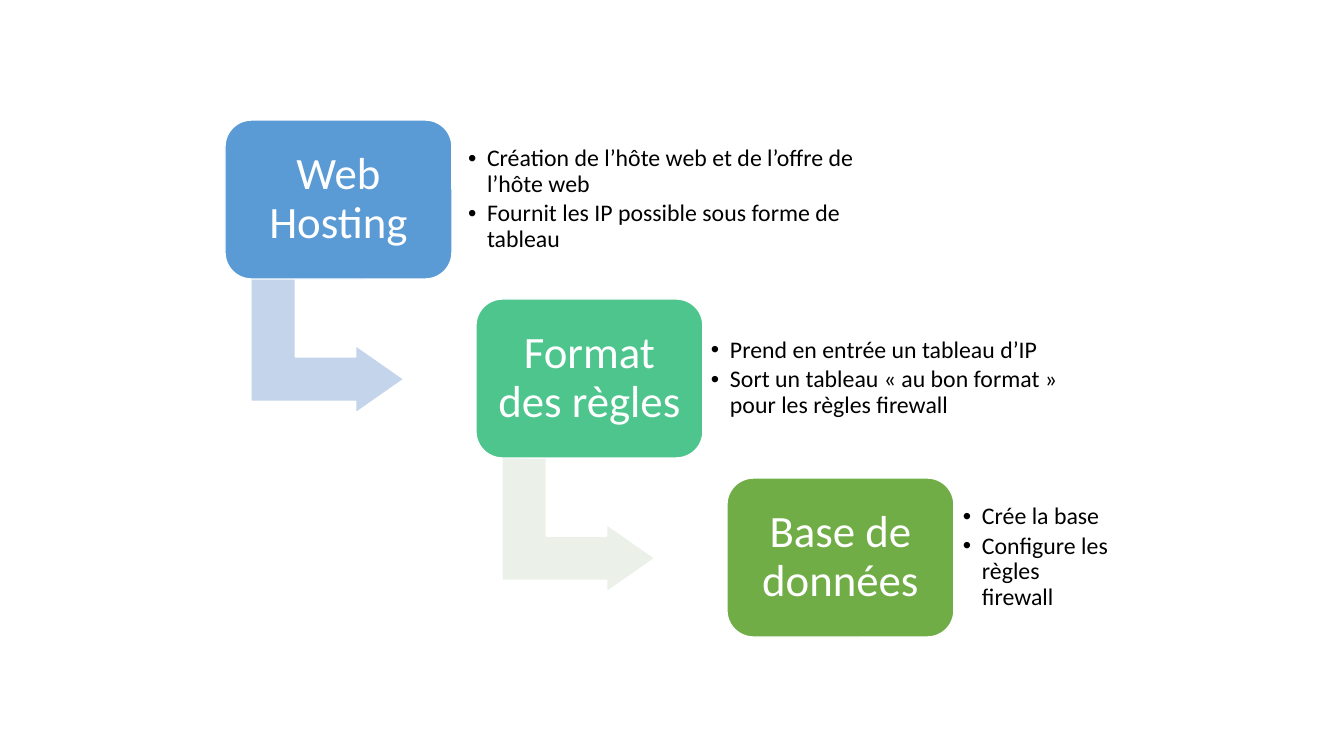
from pptx import Presentation
from pptx.dml.color import RGBColor
from pptx.enum.shapes import MSO_SHAPE
from pptx.enum.text import MSO_ANCHOR, PP_ALIGN
from pptx.oxml.ns import qn
from pptx.util import Pt
from lxml.etree import SubElement

# Content: title, box colour, arrow colour, note offset and width, notes
STEPS = [
    ("Web Hosting", "5B9BD5", "C4D5EB", 234, 426,
     ["Création de l’hôte web et de l’offre de l’hôte web",
      "Fournit les IP possible sous forme de tableau"]),
    ("Format des règles", "4DC58D", "EBF1E9", 226, 396,
     ["Prend en entrée un tableau d’IP",
      "Sort un tableau «\u00a0au bon format\u00a0» pour les règles firewall"]),
    ("Base de données", "70AD47", None, 227, 165,
     ["Crée la base", "Configure les règles firewall"]),
]
THEME = {
    "font": "Calibri", "line": "FFFFFF",
    "title": {"size": 32, "color": "FFFFFF", "after": 11},
    "note": {"size": 17, "color": "000000", "after": 2.5},
}

# Layout in pixels
PX = 914400 / 100.8
LEFT, TOP = 225, 120
STEP_X, STEP_Y = 251, 179
BOX = (227, 159)
ARROW = (35, 149, 135, 153)
BENDS = (0.328, 0.25, 0.358)
NOTE_Y, NOTE_H = 15, 129
INDENT = 19


def emu(*vals):
    return [round(v * PX) for v in vals]


def paint(shape, fill):
    shape.shadow.inherit = False
    shape.fill.solid()
    shape.fill.fore_color.rgb = RGBColor.from_string(fill)
    shape.line.color.rgb = RGBColor.from_string(THEME["line"])
    shape.line.width = Pt(1)


def write(shape, lines, style, inset, align):
    frame = shape.text_frame
    pad = emu(inset)[0]
    form = {"word_wrap": True, "vertical_anchor": MSO_ANCHOR.MIDDLE,
            "margin_left": pad, "margin_right": pad,
            "margin_top": pad, "margin_bottom": pad}
    for key, val in form.items():
        setattr(frame, key, val)
    frame.text = "\n".join(lines)
    form = {"alignment": align, "line_spacing": 0.9,
            "space_after": Pt(style["after"])}
    for para in frame.paragraphs:
        for key, val in form.items():
            setattr(para, key, val)
        font = para.runs[0].font
        font.name, font.size = THEME["font"], Pt(style["size"])
        font.color.rgb = RGBColor.from_string(style["color"])


def bullet(para):
    props = para._p.get_or_add_pPr()
    gap = emu(INDENT)[0]
    props.set("marL", str(gap))
    props.set("indent", str(-gap))
    SubElement(props, qn("a:buFont")).set("typeface", "Arial")
    SubElement(props, qn("a:buChar")).set("char", "•")


deck = Presentation()
deck.slide_width, deck.slide_height = emu(1344, 756)
slide = deck.slides.add_slide(deck.slide_layouts[6])
shapes = slide.shapes

# Staircase of steps
for i, (title, fill, tint, shift, wide, notes) in enumerate(STEPS):
    x, y = LEFT + i * STEP_X, TOP + i * STEP_Y

    # Arrow to the next step
    if tint:
        dx, dy, w, h = ARROW
        arrow = shapes.add_shape(MSO_SHAPE.BENT_UP_ARROW,
                                 *emu(x + dx, y + dy, w, h))
        arrow.rotation = 90
        for k, bend in enumerate(BENDS):
            arrow.adjustments[k] = bend
        paint(arrow, tint)

    # Step box
    box = shapes.add_shape(MSO_SHAPE.ROUNDED_RECTANGLE, *emu(x, y, *BOX))
    box.adjustments[0] = 0.167
    paint(box, fill)
    write(box, [title], THEME["title"], 13, PP_ALIGN.CENTER)

    # Notes beside the box
    note = shapes.add_textbox(*emu(x + shift, y + NOTE_Y, wide, NOTE_H))
    write(note, notes, THEME["note"], 9, PP_ALIGN.LEFT)
    for para in note.text_frame.paragraphs:
        bullet(para)

deck.save("out.pptx")
